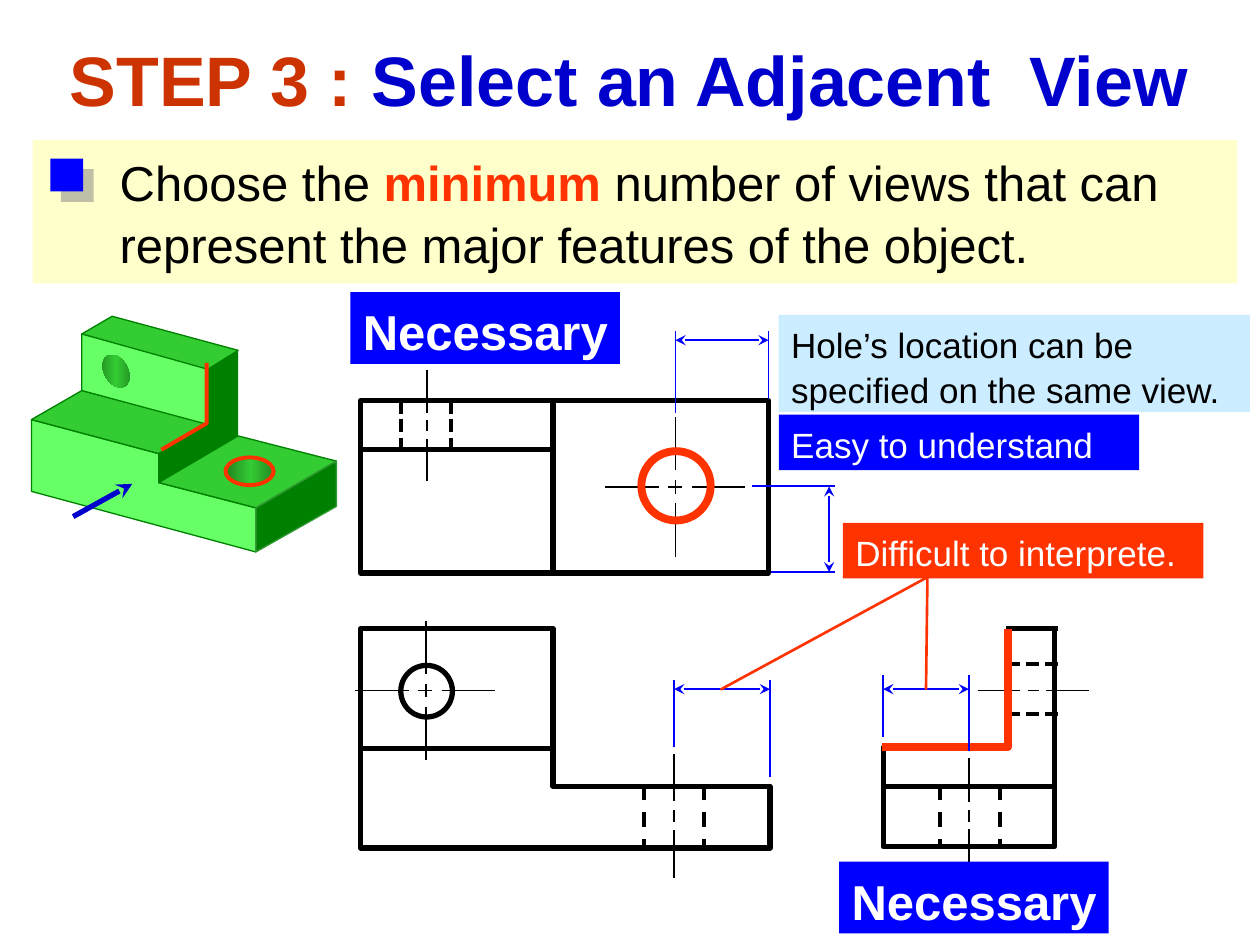
"""Build the slide on selecting an adjacent view of a stepped block."""
from copy import deepcopy

from lxml import etree
from pptx import Presentation
from pptx.dml.color import RGBColor
from pptx.enum.dml import MSO_LINE
from pptx.enum.shapes import MSO_CONNECTOR, MSO_SHAPE
from pptx.enum.text import MSO_ANCHOR, MSO_AUTO_SIZE, PP_ALIGN
from pptx.oxml import parse_xml
from pptx.oxml.ns import nsdecls, qn
from pptx.util import Pt

STRAIGHT, RECT, OVAL = MSO_CONNECTOR.STRAIGHT, MSO_SHAPE.RECTANGLE, MSO_SHAPE.OVAL
DASH, TOP, NO_FIT = MSO_LINE.DASH, MSO_ANCHOR.TOP, MSO_AUTO_SIZE.NONE
LEFT, CENTER = PP_ALIGN.LEFT, PP_ALIGN.CENTER

COLORS = {
    "black": "000000", "white": "FFFFFF", "blue": "0000FF", "navy": "0000CC",
    "red": "FF3300", "rust": "CC3300", "cream": "FFFFCC", "sky": "CCECFF",
    "light": "66FF66", "mid": "33CC33", "dark": "008000", "edge": "339933", "hole": "218621",
}
FONT = "Arial"
LINE_SPACING = 1.06

TITLE = [[("STEP 3 : ", "rust", True), ("Select an Adjacent  View", "navy", True)]]
STATEMENT = [
    [("Choose the ", "black", False), ("minimum", "red", True),
     (" number of views that can", "black", False)],
    [("represent the major features of the object.", "black", False)],
]

FRONT_OUTLINE = [(206, 359.3), (206, 484.6), (440, 484.6), (440, 449.3), (316, 449.3), (316, 359.3)]
TOP_OUTLINE = [(206, 327.4), (206, 229), (439.2, 229), (439.2, 327.4)]
SIDE_OUTLINE = [(576, 359.3), (576, 427), (504.7, 427), (504.7, 483.8), (602.6, 483.8), (602.6, 359.3)]
SIDE_PROFILE = [(504, 427), (576, 427), (576, 359.3)]
VISIBLE_EDGES = [
    (206, 427.7, 316, 427.7), (206, 257, 316, 257), (316, 229, 316, 327.4),
    (504, 449.3, 602.6, 449.3), (604.8, 359.3, 574.6, 359.3),
]
LOWER_HOLE_EDGES = [368, 402.5, 537.1, 571.7]
UPPER_HOLE_TOP_VIEW = [229, 257.8]
UPPER_HOLE_SIDE_VIEW = [379.4, 408.2]
CENTRE_MARKS = [
    (385.2, 466.2, 35.6, "v"), (243.4, 394.6, 39.6, "v"), (243, 394.6, 40, "h"),
    (244, 243.4, 31.7, "v"), (386, 278.2, 40, "v"), (386, 278.2, 40, "h"),
    (553.7, 466.2, 32.8, "v"), (590.4, 394.6, 31.7, "h"),
]
EXTENSIONS = [
    (430, 277.9, 477.4, 277.9), (440.6, 327, 477.4, 327),
    (386, 236.2, 386, 189.4), (439.2, 228.2, 439.2, 189.4),
    (385.2, 427, 385.2, 388.8), (440, 444.2, 440, 388.8),
    (504.7, 421.2, 504.7, 385.9), (553.7, 429.1, 553.7, 385.9),
]
DIMENSIONS = [
    (473.8, 327, 473.8, 277.9), (439.2, 194.4, 386, 194.4),
    (385.2, 393.8, 440, 393.8), (504.7, 393.8, 553.7, 393.8),
]
BLOCK_FACES = [
    ("dark", None, [(90.7, 275.8), (90.7, 258.5), (118.8, 241.9), (118.8, 209.5), (136.1, 200.2), (136.1, 249.1)]),
    ("light", "dark", [(146.2, 315.4), (18, 280.8), (18, 239.8), (90.7, 259.2), (90.7, 275.8), (146.2, 290.2)]),
    ("mid", "dark", [(18, 239.8), (46.8, 223.2), (118.8, 241.9), (90.7, 259.2)]),
    ("light", "dark", [(118.8, 242.6), (46.8, 223.2), (46.8, 190.8), (118.8, 210.2)]),
    ("mid", "dark", [(90.7, 275.8), (146.2, 290.2), (192.2, 263.5), (136.1, 249.1)]),
    ("dark", "edge", [(146.2, 290.2), (146.2, 315.4), (192.2, 289.4), (192.2, 263.5)]),
    ("mid", "dark", [(136.1, 200.2), (64.1, 180.7), (46.8, 190.8), (118.8, 211)]),
]
BLOCK_EDGE = [(118.1, 207.4), (118.1, 241.9), (92.2, 257)]
LEADER = [(411.8, 394), (530, 329.8), (529.2, 394)]
LABELS = [
    ("Necessary", (200.2, 167, 154, 41), "blue", "white", 28, True),
    ("Necessary", (479.5, 492.4, 154, 41), "blue", "white", 28, True),
    ("Hole’s location can be specified on the same view.", (445, 180, 269.3, 55.4), "sky", "black", 20, False),
    ("Difficult to interprete.", (481.7, 298.8, 206, 31.7), "red", "white", 20, False),
    ("Easy to understand", (445, 237, 206, 31.7), "blue", "white", 20, False),
]

deck = Presentation()
deck.slide_width, deck.slide_height = Pt(720), Pt(540)
slide = deck.slides.add_slide(deck.slide_layouts[1])
shapes = slide.shapes


def rgb(name):
    return RGBColor.from_string(COLORS[name])


def paint(shape, fill=None, line=None, width=1.0):
    shape.shadow.inherit = False
    if fill:
        shape.fill.solid()
        shape.fill.fore_color.rgb = rgb(fill)
    else:
        shape.fill.background()
    if line:
        shape.line.color.rgb = rgb(line)
        shape.line.width = Pt(width)
    else:
        shape.line.fill.background()
    return shape


def preset(kind, box, **style):
    return paint(shapes.add_shape(kind, *map(Pt, box)), **style)


def outline(points, closed=False, **style):
    corners = [(Pt(x), Pt(y)) for x, y in points]
    builder = shapes.build_freeform(*corners[0])
    builder.add_line_segments(corners[1:], close=closed)
    return paint(builder.convert_to_shape(), **style)


def stroke(ends, color="black", width=1.0, dash=None, arrows=()):
    connector = shapes.add_connector(STRAIGHT, *map(Pt, ends))
    connector.line.color.rgb = rgb(color)
    connector.line.width = Pt(width)
    if dash:
        connector.line.dash_style = dash
    for tag in arrows:
        etree.SubElement(connector.line._get_or_add_ln(), qn(tag), type="stealth")
    etree.SubElement(connector._element.spPr, qn("a:effectLst"))


def centre_mark(x, y, reach, axis):
    for start, end in ((-1, -0.235), (-0.1, 0.1), (0.235, 1)):
        a, b = start * reach, end * reach
        stroke((x, y + a, x, y + b) if axis == "v" else (x + a, y, x + b, y))


def shade(shape, angle):
    fill = shape.fill
    fill.gradient()
    fill.gradient_angle = angle
    stop_list = shape._element.spPr.find(qn("a:gradFill")).find(qn("a:gsLst"))
    stop_list.append(deepcopy(stop_list[0]))
    for stop, position, color in zip(fill.gradient_stops, (0, 0.5, 1), ("hole", "mid", "hole")):
        stop.position = position
        stop.color.rgb = rgb(color)


def write(shape, lines, size, align=LEFT, wrap=True):
    frame = shape.text_frame
    frame.word_wrap, frame.auto_size, frame.vertical_anchor = wrap, NO_FIT, TOP
    paragraph = frame.paragraphs[0]
    paragraph.alignment, paragraph.line_spacing = align, LINE_SPACING
    paragraph.space_before = Pt(0)
    paragraph.font.size, paragraph.font.name = Pt(size), FONT
    for number, pieces in enumerate(lines):
        if number:
            paragraph.add_line_break()
        for text, color, bold in pieces:
            run = paragraph.add_run()
            run.text = text
            run.font.color.rgb, run.font.bold = rgb(color), bold


def place(placeholder, box):
    placeholder.left, placeholder.top, placeholder.width, placeholder.height = map(Pt, box)


title, statement = shapes.title, slide.placeholders[1]
place(title, (-0.7, 14.4, 720, 55.4))
write(title, TITLE, 40, CENTER)
place(statement, (61.2, 81.4, 615.6, 74.9))
properties = statement.text_frame.paragraphs[0]._p.get_or_add_pPr()
properties.set("marL", "0")
properties.set("indent", "0")
etree.SubElement(properties, qn("a:buNone"))
write(statement, STATEMENT, 28, wrap=False)
panel = preset(RECT, (18.7, 80, 688.3, 82), fill="cream")
title._element.addprevious(panel._element)

bullet = preset(RECT, (28.8, 90.7, 18.7, 18.7), fill="blue")
bullet._element.spPr.find(qn("a:effectLst")).append(parse_xml(
    f'<a:outerShdw {nsdecls("a")} dist="{Pt(8.5)}" dir="2700000" algn="ctr" rotWithShape="0">'
    '<a:srgbClr val="808080"><a:alpha val="50000"/></a:srgbClr></a:outerShdw>'))

preset(OVAL, (229, 380.2, 29.5, 29.5), line="black", width=3)
for view, closed in ((FRONT_OUTLINE, True), (TOP_OUTLINE, True), (SIDE_OUTLINE, False)):
    outline(view, closed, line="black", width=3)
for edge in VISIBLE_EDGES:
    stroke(edge, width=3)
for x in LOWER_HOLE_EDGES:
    stroke((x, 448.2, x, 483.5), width=2.25, dash=DASH)
for step in range(3):
    y, x = 229 + 10.7 * step, 604.4 - 10.7 * step
    for hole_x in UPPER_HOLE_TOP_VIEW:
        stroke((hole_x, y, hole_x, y + 7.4), width=2.25)
    for hole_y in UPPER_HOLE_SIDE_VIEW:
        stroke((x, hole_y, x - 7.4, hole_y), width=2.25)
for mark in CENTRE_MARKS:
    centre_mark(*mark)

outline(SIDE_PROFILE, line="red", width=4.5)
preset(OVAL, (366.5, 257.8, 39.6, 39.6), line="red", width=4.5)
for extension in EXTENSIONS:
    stroke(extension, "blue")
for dimension in DIMENSIONS:
    stroke(dimension, "blue", arrows=("a:headEnd", "a:tailEnd"))

for face, border, corners in BLOCK_FACES:
    outline(corners, True, fill=face, line=border, width=0.75)
stroke((41.8, 295.2, 75.6, 276.5), "navy", 3, arrows=("a:tailEnd",))
wall_hole = preset(OVAL, (56.2, 205.2, 20.2, 13.7))
wall_hole.rotation = 60
shade(wall_hole, 240)
shade(preset(OVAL, (129.6, 261.4, 27.4, 15.8), line="dark", width=0.75), 180)
outline(BLOCK_EDGE, line="red", width=2.25)
preset(OVAL, (128.9, 261.4, 27.4, 15.8), line="red", width=2.25)

outline(LEADER, line="red", width=1.5)
for text, box, fill, color, size, bold in LABELS:
    write(preset(RECT, box, fill=fill), [[(text, color, bold)]], size, wrap=not bold)

deck.save("out.pptx")
